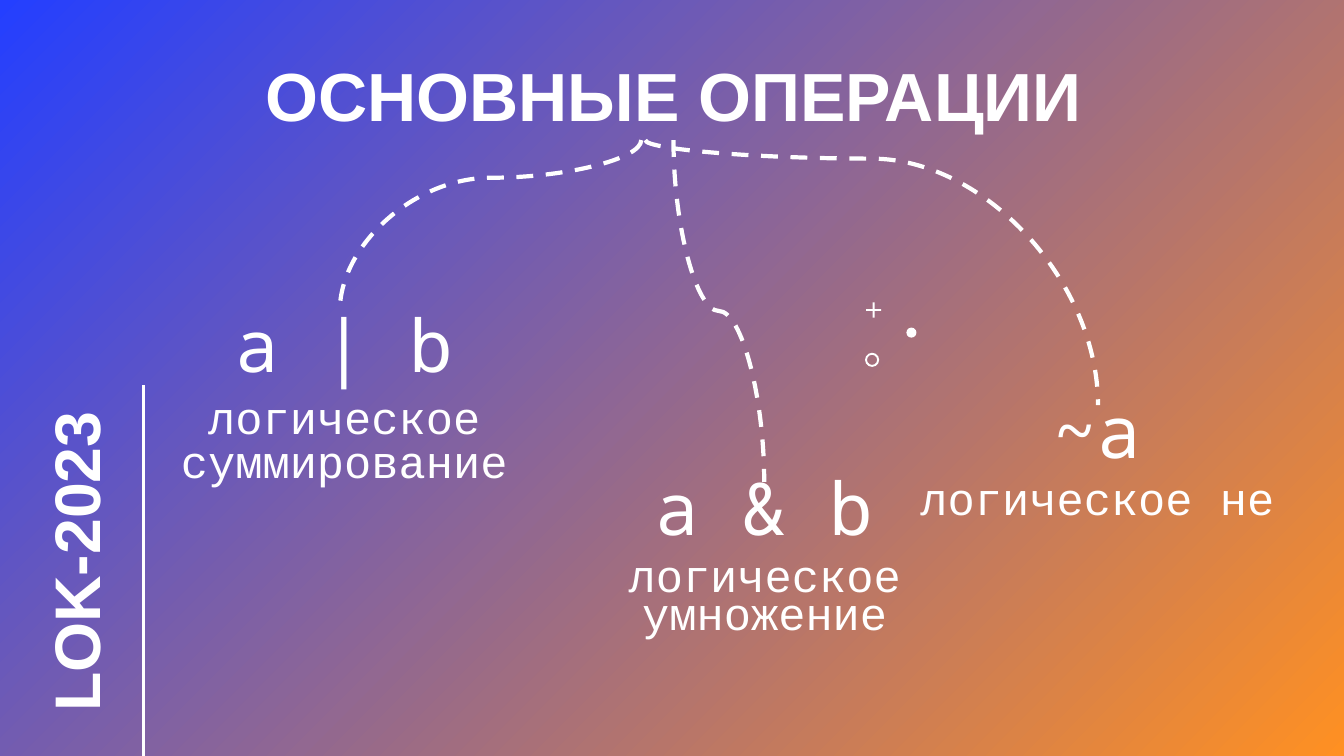
from dataclasses import dataclass
from lxml import etree
from pptx import Presentation
from pptx.dml.color import RGBColor as RGB
from pptx.enum.dml import MSO_LINE
from pptx.enum.shapes import MSO_CONNECTOR as CONN, MSO_SHAPE as SHAPE
from pptx.enum.text import MSO_ANCHOR as ANCHOR, PP_ALIGN as ALIGN
from pptx.oxml.ns import qn
from pptx.util import Inches, Pt


@dataclass(frozen=True)
class Theme:
    white: RGB = RGB(0xFF, 0xFF, 0xFF)
    blue: RGB = RGB(0x24, 0x3F, 0xFF)
    orange: RGB = RGB(0xFF, 0x90, 0x22)
    heading: str = "Arial"
    symbol: str = "Noto Sans Mono"
    caption: str = "Courier New"
    title_pt: float = 48.6
    symbol_pt: float = 51.8
    caption_pt: float = 32.4
    label_pt: float = 46


theme = Theme()
prs = Presentation()
prs.slide_width, prs.slide_height = Inches(13.33), Inches(7.5)
s = prs.slides.add_slide(prs.slide_layouts[6])


def add_text(box, lines, align=ALIGN.CENTER, spacing=1.0, before=0, bold=False):
    """Add a text box; lines holds (text, font, size) per paragraph."""
    sp = s.shapes.add_textbox(*map(Inches, box))
    tf = sp.text_frame
    tf.word_wrap = True
    for i, (text, font, size) in enumerate(lines):
        p = tf.paragraphs[0] if i == 0 else tf.add_paragraph()
        p.text, p.alignment = text, align
        p.line_spacing, p.space_before = spacing, Pt(before)
        p.font.name, p.font.size, p.font.bold = font, Pt(size), bold
        p.font.color.rgb = theme.white
    return sp


def add_line(kind, x1, y1, x2, y2, width):
    line = s.shapes.add_connector(kind, *map(Inches, (x1, y1, x2, y2)))
    line.line.color.rgb = theme.white
    line.line.width = Pt(width)
    etree.SubElement(line._element.spPr, qn("a:effectLst"))
    return line


# Diagonal background gradient
fill = s.background.fill
fill.gradient()
fill.gradient_angle = 315
for stop, color in zip(fill.gradient_stops, (theme.blue, theme.orange)):
    stop.color.rgb = color

# Side rule and small ornaments
add_line(CONN.STRAIGHT, 1.42, 3.82, 1.42, 7.5, 2)
for kind, x, y, size, adj in (
    (SHAPE.OVAL, 8.99, 3.25, 0.1, None),
    (SHAPE.CROSS, 8.59, 3.0, 0.15, 0.44),
    (SHAPE.DONUT, 8.58, 3.5, 0.14, 0.14),
):
    sp = s.shapes.add_shape(kind, *map(Inches, (x, y, size, size)))
    sp.shadow.inherit = False
    sp.fill.solid()
    sp.fill.fore_color.rgb = theme.white
    sp.line.fill.background()
    if adj is not None:
        sp.adjustments[0] = adj

# Title
title = add_text((2.47, 0.32, 8.42, 1.08),
                 [("ОСНОВНЫЕ ОПЕРАЦИИ", theme.heading, theme.title_pt)],
                 spacing=0.9, bold=True)
title.text_frame.vertical_anchor = ANCHOR.BOTTOM

# Operations: symbol above its name
for box, symbol, name, spacing in (
    ((1.5, 3.09, 3.83, 1.83), "a | b", "логическое суммирование", 0.8),
    ((5.67, 4.78, 3.83, 1.7), "a & b", "логическое умножение", 0.7),
    ((8.97, 4.02, 3.83, 1.31), "~a", "логическое не", 0.7),
):
    add_text(box, [(symbol, theme.symbol, theme.symbol_pt),
                   (name, theme.caption, theme.caption_pt)],
             spacing=spacing, before=10)

# Dashed curves from the title to each operation; a quarter turn makes
# them leave downwards, so the frame's width is the vertical distance
title_bottom = 1.39
for x1, x2, y2, bend in ((6.4, 10.89, 4.02, 0.07),
                         (6.36, 3.37, 3.09, 0.22),
                         (6.68, 7.58, 4.78, 0.5)):
    cx, cy = (x1 + x2) / 2, (title_bottom + y2) / 2
    half_w, half_h = (y2 - title_bottom) / 2, abs(x2 - x1) / 2
    side = 1 if x2 > x1 else -1
    curve = add_line(CONN.CURVE, cx + side * half_w, cy - half_h,
                     cx - side * half_w, cy + half_h, 3)
    curve.line.dash_style = MSO_LINE.DASH
    spPr = curve._element.spPr
    spPr.find(qn("a:xfrm")).set("rot", str((270 if side > 0 else 90) * 60000))
    guides = spPr.find(qn("a:prstGeom")).find(qn("a:avLst"))
    etree.SubElement(guides, qn("a:gd"), name="adj1",
                     fmla=f"val {round(bend * 100000)}")

# Vertical label
label = add_text((-0.95, 5.02, 3.4, 0.88),
                 [("LOK-2023", theme.heading, theme.label_pt)],
                 align=ALIGN.LEFT, bold=True)
label.rotation = 270

prs.save("out.pptx")
